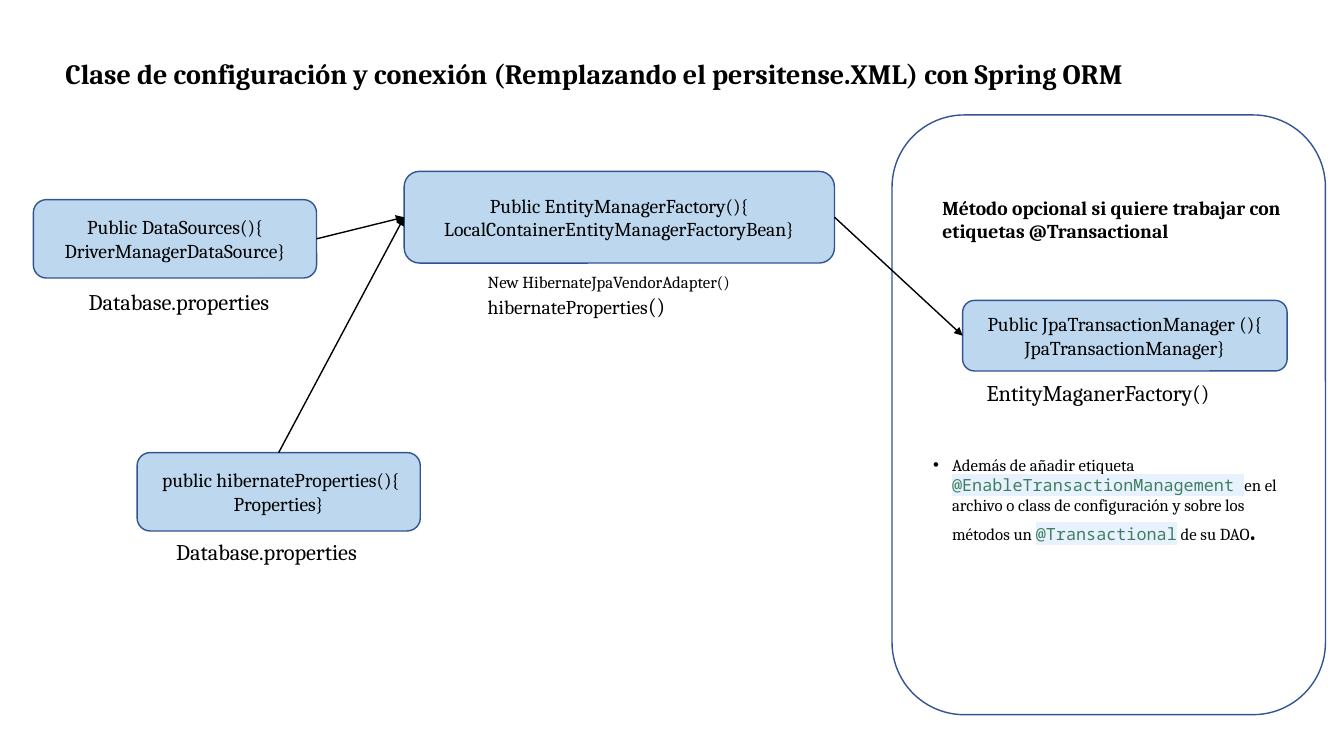
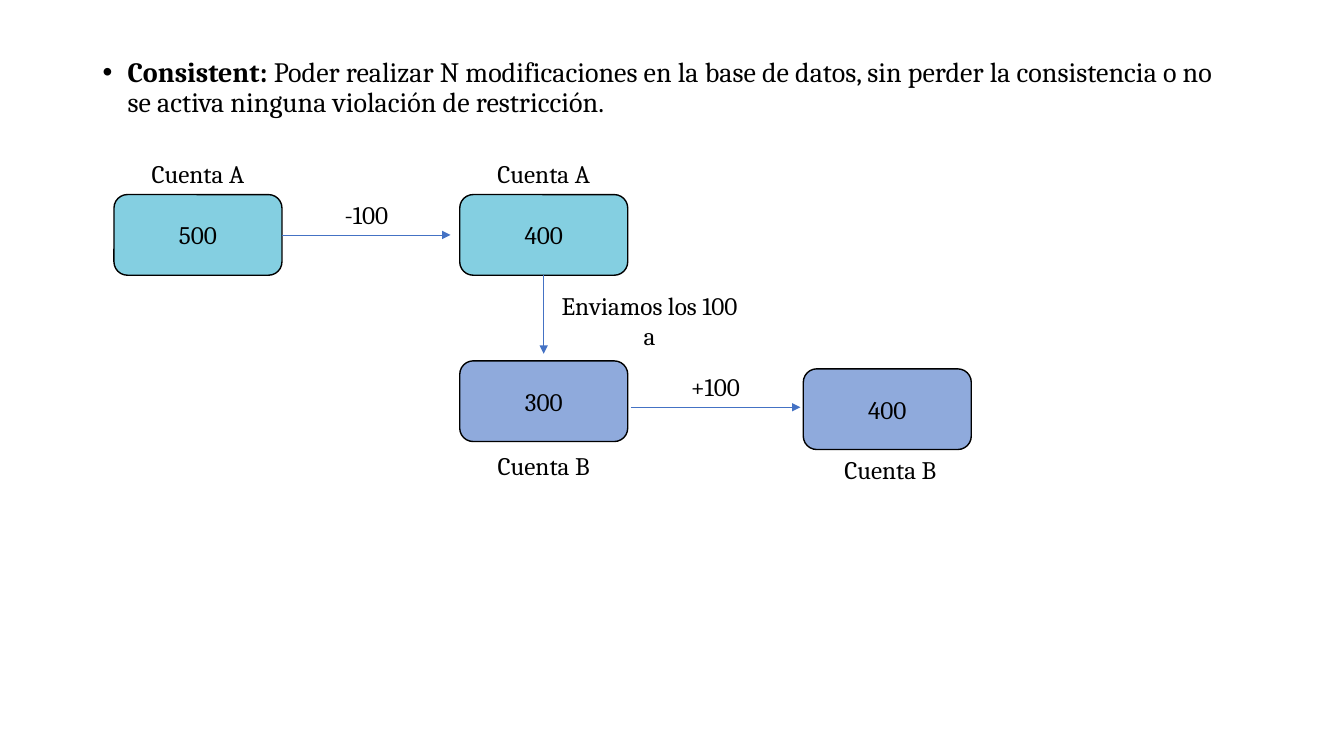
import pptx
import pptx.dml.color
import pptx.enum.shapes
import pptx.enum.text
import pptx.oxml
import pptx.oxml.ns
import pptx.shapes.autoshape
import pptx.util
from lxml import etree

Pt = pptx.util.Pt
qn = pptx.oxml.ns.qn
ALIGN = pptx.enum.text.PP_ALIGN
ANCHOR = pptx.enum.text.MSO_ANCHOR
SHAPE = pptx.enum.shapes.MSO_SHAPE
STRAIGHT = pptx.enum.shapes.MSO_CONNECTOR.STRAIGHT

FONT, MONO = "Cambria", "Noto Sans Mono"
BLACK, NAVY, BLUE = "000000", "325491", "4472C4"
METHOD_FILL, ACCOUNT_A, ACCOUNT_B = "BDD7EE", "84CFE1", "8FAADC"
CODE = dict(font=MONO, color="3F7F5F", highlight="E8F2FE")
TOP, LEFT, BOTTOM, RIGHT = range(4)
SIDES = {TOP: (0.5, 0), LEFT: (0, 0.5), BOTTOM: (0.5, 1), RIGHT: (1, 0.5)}


def rgb(value):
    return pptx.dml.color.RGBColor.from_string(value)


def add_run(p, text, size=14, bold=False, color=BLACK, font=FONT, highlight=None):
    r = p.add_run()
    r.text = text
    r.font.size = Pt(size)
    r.font.bold = bold
    r.font.name = font
    r.font.color.rgb = rgb(color)
    if highlight:
        mark = etree.Element(qn("a:highlight"))
        etree.SubElement(mark, qn("a:srgbClr"), val=highlight)
        r._r.rPr.find(qn("a:solidFill")).addnext(mark)


def write(tf, paragraphs, align=ALIGN.LEFT, anchor=ANCHOR.TOP, spacing=None,
          before=0, bullet=0, **fmt):
    """Fill a frame; a paragraph is a string or a list of (text, format) runs."""
    tf.word_wrap = True
    tf.vertical_anchor = anchor
    for i, content in enumerate(paragraphs):
        p = tf.add_paragraph() if i else tf.paragraphs[0]
        p.alignment = align
        p.space_before = Pt(before)
        if spacing:
            p.line_spacing = spacing
        if bullet:
            pPr = p._p.get_or_add_pPr()
            pPr.set("marL", str(Pt(bullet)))
            pPr.set("indent", str(-Pt(bullet)))
            etree.SubElement(pPr, qn("a:buFont"), typeface="Arial")
            etree.SubElement(pPr, qn("a:buChar"), char="•")
        runs = [(content, {})] if isinstance(content, str) else content
        for text, own in runs:
            add_run(p, text, **{**fmt, **own})


def end_point(end):
    """Position of a (shape, side) joint or of a free (x, y) point."""
    if not is_joint(end):
        return Pt(end[0]), Pt(end[1])
    sp, side = end
    fx, fy = SIDES[side]
    return int(sp.left + fx * sp.width), int(sp.top + fy * sp.height)


def is_joint(end):
    return isinstance(end[0], pptx.shapes.autoshape.Shape)


class Deck:
    def __init__(self):
        self.prs = pptx.Presentation()
        self.prs.slide_width, self.prs.slide_height = Pt(960), Pt(540)
        self.s = None

    def slide(self):
        self.s = self.prs.slides.add_slide(self.prs.slide_layouts[6])

    def text(self, x, y, w, h, *paragraphs, **fmt):
        sp = self.s.shapes.add_textbox(Pt(x), Pt(y), Pt(w), Pt(h))
        write(sp.text_frame, paragraphs, **fmt)

    def box(self, x, y, w, h, *paragraphs, fill=None, line=NAVY, **fmt):
        sp = self.s.shapes.add_shape(SHAPE.ROUNDED_RECTANGLE, Pt(x), Pt(y), Pt(w), Pt(h))
        sp.shadow.inherit = False
        if fill:
            sp.fill.solid()
            sp.fill.fore_color.rgb = rgb(fill)
        else:
            sp.fill.background()
        sp.line.color.rgb = rgb(line)
        sp.line.width = Pt(1)
        write(sp.text_frame, paragraphs, align=ALIGN.CENTER, anchor=ANCHOR.MIDDLE, **fmt)
        return sp

    def arrow(self, start, end, color=BLACK, width=1):
        cxn = self.s.shapes.add_connector(STRAIGHT, *end_point(start), *end_point(end))
        if is_joint(start):
            cxn.begin_connect(*start)
        if is_joint(end):
            cxn.end_connect(*end)
        cxn.line.color.rgb = rgb(color)
        cxn.line.width = Pt(width)
        etree.SubElement(cxn.line._get_or_add_ln(), qn("a:tailEnd"), type="triangle")
        etree.SubElement(cxn._element.spPr, qn("a:effectLst"))

    def method(self, x, y, w, h, *lines):
        return self.box(x, y, w, h, *lines, fill=METHOD_FILL)

    def account(self, x, y, amount, fill):
        return self.box(x, y, 120, 57.6, amount, fill=fill, line=BLACK, size=18)

    def caption(self, center, y, text, h=29):
        self.text(center - 75, y, 150, h, text, size=18, align=ALIGN.CENTER)

    def transfer(self, start, end, center, y, amount):
        """Horizontal arrow at height y with its amount standing on it."""
        self.arrow(start, end, BLUE, 0.5)
        self.caption(center, y - 29, amount)


def configuration_slide(deck):
    deck.slide()
    deck.text(39.6, 26, 872, 56,
              "Clase de configuración y conexión (Remplazando el persitense.XML) con Spring ORM",
              size=20, bold=True, anchor=ANCHOR.MIDDLE, spacing=0.9)
    sources = deck.method(23.8, 142.6, 202.3, 56,
                          "Public DataSources(){", "DriverManagerDataSource}")
    factory = deck.method(288.7, 122.4, 307.4, 65.5, "Public EntityManagerFactory(){",
                          "LocalContainerEntityManagerFactoryBean}")
    properties = deck.method(97.9, 323.3, 202.3, 56,
                             " public hibernateProperties(){", "Properties}")
    manager = deck.method(687.6, 214.6, 231.8, 50.4,
                          "Public JpaTransactionManager (){", "JpaTransactionManager}")
    for x, y, w, label in ((56.2, 202.3, 170, "Database.properties"),
                           (118.8, 380.9, 170, "Database.properties"),
                           (697.7, 267.1, 202.3, "EntityMaganerFactory()")):
        deck.text(x, y, w, 26.6, label, size=16)
    deck.text(341.3, 190.8, 202.3, 41, [("New HibernateJpaVendorAdapter()", dict(size=12))],
              [("hibernateProperties", {}), ("()", dict(size=16))])
    deck.text(666, 136.1, 265.7, 41,
              "Método opcional si quiere trabajar con etiquetas @Transactional", bold=True)
    deck.text(659.5, 321.1, 278.6, 72.7, [
        ("Además de añadir etiqueta ", {}),
        ("@EnableTransactionManagement ", CODE),
        ("en el archivo o class de configuración y sobre los métodos un ", {}),
        ("@Transactional", CODE),
        (" de su DAO", {}),
        (".", dict(size=18, bold=True))], size=12, bullet=13.5)
    deck.box(637.2, 82.1, 309.6, 428.4)
    for start, end in (((sources, RIGHT), (factory, LEFT)),
                       ((properties, TOP), (factory, LEFT)),
                       ((factory, RIGHT), (manager, LEFT))):
        deck.arrow(start, end)


def consistency_slide(deck):
    deck.slide()
    deck.text(66.2, 38.2, 828, 455, [
        ("Consistent: ", dict(bold=True)),
        ("Poder realizar N modificaciones en la base de datos, sin perder la "
         "consistencia o no se activa ninguna violación de restricción.", {})],
        size=20, bullet=18, spacing=0.9, before=10)
    a_before = deck.account(81.4, 139, "500", ACCOUNT_A)
    a_after = deck.account(328.4, 139, "400", ACCOUNT_A)
    deck.account(328.4, 257.8, "300", ACCOUNT_B)
    deck.account(573.8, 263.5, "400", ACCOUNT_B)
    for center, y, name in ((141.4, 109.5, "Cuenta A"), (388.4, 109.5, "Cuenta A"),
                            (388.4, 318.2, "Cuenta B"), (636, 321.1, "Cuenta B")):
        deck.caption(center, y, name)
    deck.transfer((a_before, RIGHT), (321.8, 167.8), 261.7, 167.8, "-100")
    deck.transfer((450.7, 290.9), (571.7, 290.9), 511, 290.9, "+100")
    deck.arrow((a_after, BOTTOM), (388.4, 252.7), BLUE, 0.5)
    deck.caption(464, 203.8, "Enviamos los 100 a", h=51)


def main():
    deck = Deck()
    configuration_slide(deck)
    consistency_slide(deck)
    deck.prs.save("out.pptx")


if __name__ == "__main__":
    main()
